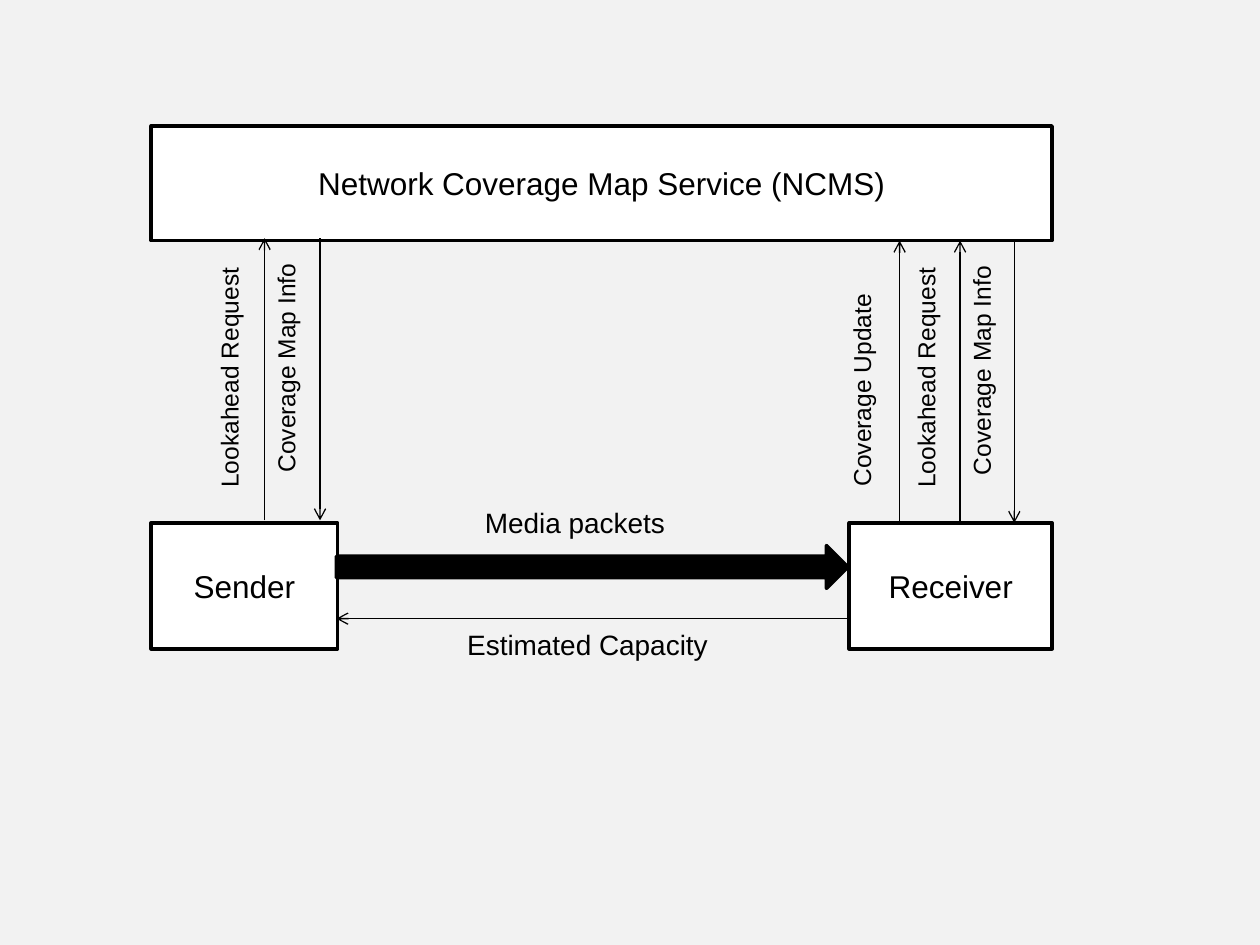
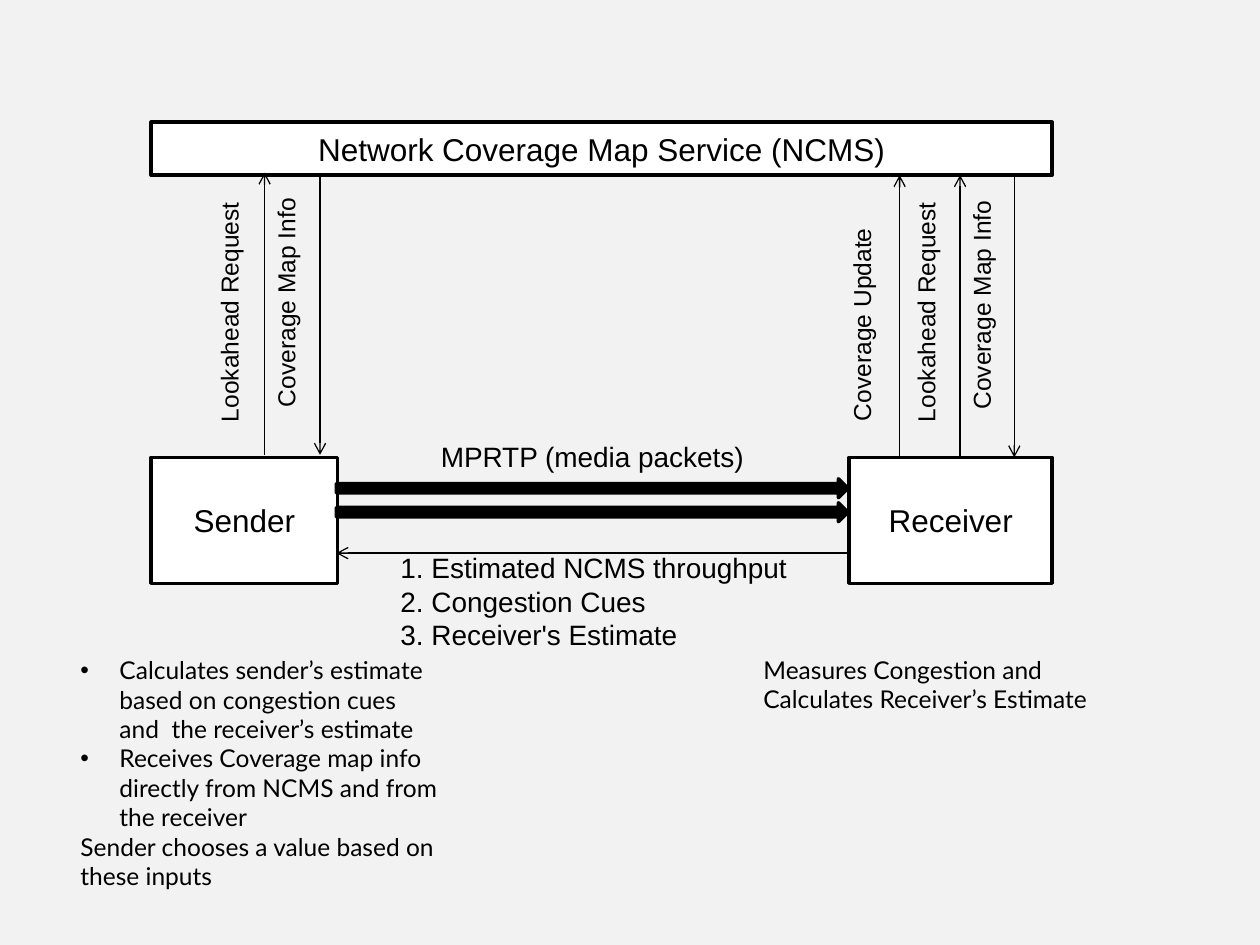
from dataclasses import dataclass
from typing import NamedTuple

from lxml import etree
from pptx import Presentation
from pptx import util as u
from pptx.dml import color
from pptx.enum import shapes, text
from pptx.oxml import ns

PX = 9144


def px(length: int) -> u.Emu:
    return u.Emu(length * PX)


@dataclass(frozen=True)
class Theme:
    ink: color.RGBColor = color.RGBColor.from_string("000000")
    paper: color.RGBColor = color.RGBColor.from_string("FFFFFF")
    backdrop: color.RGBColor = color.RGBColor.from_string("F2F2F2")
    diagram_font: str = "Arial"
    note_font: str = "Lato"
    node_size: u.Pt = u.Pt(18)
    flow_size: u.Pt = u.Pt(16)
    small_size: u.Pt = u.Pt(14)
    border: u.Pt = u.Pt(2)
    hairline: u.Pt = u.Pt(0.75)


THEME = Theme()
NODE_FORMAT = {"name": THEME.diagram_font, "size": THEME.node_size}
FLOW_FORMAT = {"name": THEME.diagram_font, "size": THEME.flow_size}
LINK_FORMAT = {"name": THEME.diagram_font, "size": THEME.small_size}
NOTE_FORMAT = {"name": THEME.note_font, "size": THEME.small_size}


class Area(NamedTuple):
    left: int
    top: int
    width: int
    height: int

    def emu(self) -> list[u.Emu]:
        return [px(length) for length in self]


@dataclass(frozen=True)
class Label:
    area: Area
    lines: tuple[str, ...]
    bullets: int = 0


@dataclass(frozen=True)
class Link:
    x: int
    label: str
    label_area: Area
    upward: bool = True
    rise: int = 0


@dataclass(frozen=True)
class Scene:
    service: Area
    peer_top: int
    media_arrows: tuple[Area, ...]
    flow_labels: tuple[Label, ...]
    notes: tuple[Label, ...] = ()


SERVICE_LEFT, SERVICE_WIDTH = 120, 715
SENDER_WIDTH, RECEIVER_LEFT, RECEIVER_WIDTH = 148, 674, 161
PEER_HEIGHT, LINK_HEIGHT, REPORT_OFFSET = 100, 224, 76
FLOW_LEFT, FLOW_WIDTH = 267, 406

LINKS = (
    Link(210, "Lookahead Request", Area(165, -212, 44, 194), rise=2),
    Link(254, "Coverage Map Info", Area(210, -214, 44, 184), False, 2),
    Link(714, "Coverage Update", Area(667, -191, 44, 172)),
    Link(762, "Lookahead Request", Area(718, -212, 44, 194)),
    Link(805, "Coverage Map Info", Area(762, -212, 44, 184), False),
)

SCENES = (
    Scene(
        Area(SERVICE_LEFT, 100, SERVICE_WIDTH, 91),
        415,
        (Area(FLOW_LEFT, 433, FLOW_WIDTH, 34),),
        (
            Label(Area(375, 396, 172, 37), ("Media packets",)),
            Label(Area(361, 493, 228, 37), ("Estimated Capacity",)),
        ),
    ),
    Scene(
        Area(SERVICE_LEFT, 97, SERVICE_WIDTH, 42),
        363,
        tuple(Area(FLOW_LEFT, top, FLOW_WIDTH, 15) for top in (380, 399)),
        (
            Label(Area(340, 344, 274, 37), ("MPRTP (media packets)",)),
            Label(
                Area(308, 432, 339, 91),
                (
                    "1. Estimated NCMS throughput",
                    "2. Congestion Cues",
                    "3. Receiver's Estimate",
                ),
            ),
        ),
        (
            Label(
                Area(54, 515, 306, 199),
                (
                    "Calculates sender’s estimate based on congestion cues and  the receiver’s estimate",
                    "Receives Coverage map info directly from NCMS and from the receiver",
                    "Sender chooses a value based on these inputs",
                ),
                bullets=2,
            ),
            Label(
                Area(596, 515, 331, 57),
                ("Measures Congestion and Calculates Receiver’s Estimate",),
            ),
        ),
    ),
)


def write(para, words: str, font_format: dict) -> None:
    span = para.add_run()
    span.text = words
    for name, value in font_format.items():
        setattr(span.font, name, value)
    span.font.color.rgb = THEME.ink


def add_bullet(para) -> None:
    properties = para._p.get_or_add_pPr()
    for name, value in {"marL": px(31), "indent": -px(31)}.items():
        properties.set(name, str(value))
    for tag, name, value in (("a:buFont", "typeface", "Arial"), ("a:buChar", "char", "•")):
        etree.SubElement(properties, ns.qn(tag)).set(name, value)


def draw_shape(page, kind, area: Area, fill: color.RGBColor):
    shape = page.shapes.add_shape(kind, *area.emu())
    shape.shadow.inherit = False
    shape.fill.solid()
    shape.fill.fore_color.rgb = fill
    shape.line.color.rgb = THEME.ink
    shape.line.width = THEME.border
    return shape


def draw_node(page, area: Area, name: str) -> None:
    box = draw_shape(page, shapes.MSO_SHAPE.RECTANGLE, area, THEME.paper)
    box.text_frame.vertical_anchor = text.MSO_ANCHOR.MIDDLE
    para = box.text_frame.paragraphs[0]
    para.alignment = text.PP_ALIGN.CENTER
    write(para, name, NODE_FORMAT)


def draw_label(
    page, label: Label, font_format: dict, wrap: bool = False, upright: bool = False
) -> None:
    frame = page.shapes.add_textbox(*label.area.emu()).text_frame
    frame.word_wrap = wrap
    frame.auto_size = text.MSO_AUTO_SIZE.SHAPE_TO_FIT_TEXT
    if upright:
        frame._txBody.bodyPr.set("vert", "vert270")
    for index, line in enumerate(label.lines):
        para = frame.add_paragraph() if index else frame.paragraphs[0]
        if index < label.bullets:
            add_bullet(para)
        write(para, line, font_format)


def draw_arrow(page, start: tuple[int, int], end: tuple[int, int]) -> None:
    ends = [px(length) for length in (*start, *end)]
    arrow = page.shapes.add_connector(shapes.MSO_CONNECTOR.STRAIGHT, *ends)
    arrow.line.color.rgb = THEME.ink
    arrow.line.width = THEME.hairline
    outline = arrow.line._get_or_add_ln()
    etree.SubElement(outline, ns.qn("a:tailEnd")).set("type", "arrow")
    etree.SubElement(arrow._element.spPr, ns.qn("a:effectLst"))


def draw_link(page, link: Link, peer_top: int) -> None:
    bottom = (link.x, peer_top - link.rise)
    top = (link.x, peer_top - link.rise - LINK_HEIGHT)
    draw_arrow(page, *((bottom, top) if link.upward else (top, bottom)))
    area = link.label_area._replace(top=peer_top + link.label_area.top)
    draw_label(page, Label(area, (link.label,)), LINK_FORMAT, upright=True)


def draw_scene(page, scene: Scene) -> None:
    sender = Area(SERVICE_LEFT, scene.peer_top, SENDER_WIDTH, PEER_HEIGHT)
    receiver = Area(RECEIVER_LEFT, scene.peer_top, RECEIVER_WIDTH, PEER_HEIGHT)
    draw_node(page, scene.service, "Network Coverage Map Service (NCMS)")
    draw_node(page, sender, "Sender")
    draw_node(page, receiver, "Receiver")
    for area in scene.media_arrows:
        draw_shape(page, shapes.MSO_SHAPE.RIGHT_ARROW, area, THEME.ink)
    report_y = scene.peer_top + REPORT_OFFSET
    draw_arrow(page, (RECEIVER_LEFT, report_y), (FLOW_LEFT, report_y))
    for link in LINKS:
        draw_link(page, link, scene.peer_top)
    for label in scene.flow_labels:
        draw_label(page, label, FLOW_FORMAT)
    for note in scene.notes:
        draw_label(page, note, NOTE_FORMAT, wrap=True)


def main() -> None:
    deck = Presentation()
    deck.slide_width, deck.slide_height = px(1000), px(750)
    backdrop = deck.slide_master.background.fill
    backdrop.solid()
    backdrop.fore_color.rgb = THEME.backdrop
    blank = deck.slide_layouts.get_by_name("Blank")
    for scene in SCENES:
        draw_scene(deck.slides.add_slide(blank), scene)
    deck.save("out.pptx")


if __name__ == "__main__":
    main()
